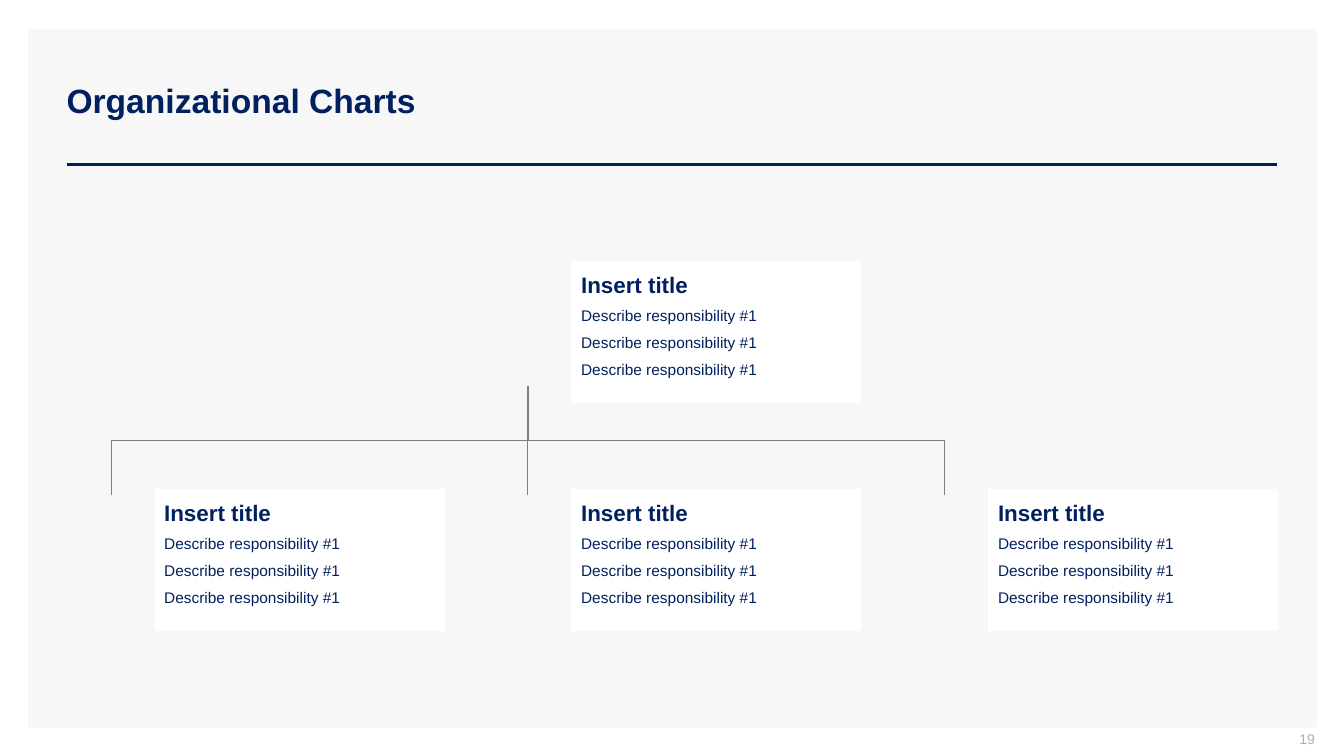
from pptx import Presentation
from pptx.dml.color import RGBColor
from pptx.enum.shapes import MSO_CONNECTOR as Link, MSO_SHAPE as Form
from pptx.enum.text import MSO_ANCHOR as Anchor, PP_ALIGN as Align
from pptx.oxml.ns import qn
from pptx.util import Inches, Pt
from lxml.etree import SubElement

# Content
TITLE = "Organizational Charts"
PAGE = "19"
ROLE = ("Insert title", ["Describe responsibility #1"] * 3)
# Each card: column, row, role
CARDS = [(1, 0, ROLE), (0, 1, ROLE), (1, 1, ROLE), (2, 1, ROLE)]

# Colours and text formats
NAVY = RGBColor(0x00, 0x20, 0x60)
PALE = RGBColor(0xF7, 0xF7, 0xF7)
WHITE = RGBColor(0xFF, 0xFF, 0xFF)
GRAY = RGBColor(0x7F, 0x7F, 0x7F)
MUTED = RGBColor(0xAD, 0xAF, 0xBB)
HEAD = {"size": Pt(24), "bold": True}
NAME = {"size": Pt(16), "bold": True}
DUTY = {"size": Pt(11), "bold": False}
FOOT = {"size": Pt(10), "bold": False}

# Grid in inches
WIDE, HIGH = 13.33, 7.5
LEFT, TOP = 1.53, 2.59
STEP_X, STEP_Y = 4.135, 2.26
CARD_W, CARD_H = 2.88, 1.41
PAD = 0.1
TREE_X, TREE_TOP, TREE_END = LEFT - 0.43, 3.83, 4.91


def style(para, look, color, align=Align.LEFT):
    para.alignment = align
    para.font.name = "Arial"
    para.font.color.rgb = color
    for key, value in look.items():
        setattr(para.font, key, value)


def inset(frame, left, top, right, bottom):
    frame.word_wrap = True
    sides = {"left": left, "top": top, "right": right, "bottom": bottom}
    for side, value in sides.items():
        setattr(frame, f"margin_{side}", Inches(value))


def block(slide, x, y, w, h, color):
    box = slide.shapes.add_shape(Form.RECTANGLE, *map(Inches, (x, y, w, h)))
    box.shadow.inherit = False
    box.fill.solid()
    box.fill.fore_color.rgb = color
    box.line.fill.background()
    return box


def card(slide, col, row, role):
    box = block(slide, LEFT + col * STEP_X, TOP + row * STEP_Y,
                CARD_W, CARD_H, WHITE)
    frame = box.text_frame
    inset(frame, PAD, PAD, PAD, PAD)
    frame.vertical_anchor = Anchor.TOP
    name, duties = role
    for i, text in enumerate([name, *duties]):
        para = frame.add_paragraph() if i else frame.paragraphs[0]
        para.text = text
        para.space_after = Pt(6)
        style(para, DUTY if i else NAME, NAVY)


def wire(slide, kind, start, end, color, width):
    line = slide.shapes.add_connector(kind, *map(Inches, (*start, *end)))
    line.line.color.rgb = color
    line.line.width = Pt(width)
    SubElement(line._element.spPr, qn("a:effectLst"))
    return line


def branch(slide, side):
    """Draw an elbow from an outer column (side -1 or 1) up to the trunk."""
    mid_x = TREE_X + STEP_X * (1 + side / 2)
    mid_y = (TREE_TOP + TREE_END) / 2
    # The elbow is laid out on its side, then turned a quarter
    dx, dy = (TREE_END - TREE_TOP) / 2, STEP_X / 2
    line = wire(slide, Link.ELBOW, (mid_x - side * dx, mid_y + dy),
                (mid_x + side * dx, mid_y - dy), GRAY, 0.5)
    turn = 90 if side < 0 else 270
    line._element.spPr.xfrm.set("rot", str(turn * 60000))


def main():
    deck = Presentation()
    deck.slide_width, deck.slide_height = Inches(WIDE), Inches(HIGH)
    slide = deck.slides.add_slide(deck.slide_layouts[5])

    # Panel behind the title, and rule below it
    panel = block(slide, 0.28, 0.29, 12.78, 6.93, PALE)
    slide.shapes._spTree.insert(2, panel._element)
    wire(slide, Link.STRAIGHT, (0.66, 1.63), (12.67, 1.63), NAVY, 2)

    # Title
    title = slide.shapes.title
    title.left, title.top, title.width, title.height = map(
        Inches, (0.56, 0.4, 12.11, 1.19))
    title.text = TITLE
    inset(title.text_frame, PAD, 0.05, PAD, 0.05)
    title.text_frame.vertical_anchor = Anchor.MIDDLE
    style(title.text_frame.paragraphs[0], HEAD, NAVY)

    # Page number
    page = slide.shapes.add_textbox(*map(Inches, (10.04, 7.25, 3, 0.21)))
    page.text_frame.text = PAGE
    inset(page.text_frame, PAD, 0, 0, 0.05)
    page.text_frame.vertical_anchor = Anchor.MIDDLE
    style(page.text_frame.paragraphs[0], FOOT, MUTED, Align.RIGHT)

    # Chart: branches, trunk and cards
    for side in (-1, 1):
        branch(slide, side)
    trunk = TREE_X + STEP_X
    wire(slide, Link.STRAIGHT, (trunk, TREE_END), (trunk, TREE_TOP), GRAY, 0.5)
    for col, row, role in CARDS:
        card(slide, col, row, role)

    deck.save("out.pptx")


if __name__ == "__main__":
    main()
